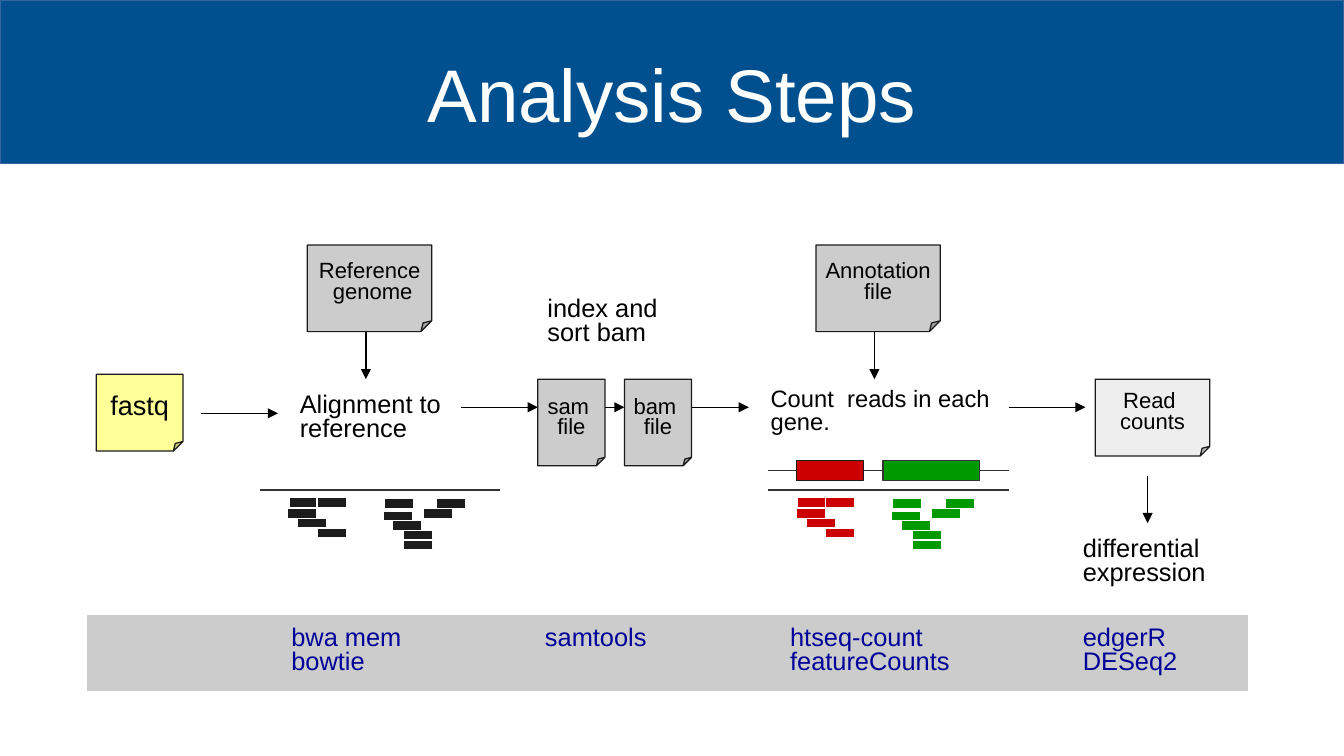
from collections import namedtuple
from dataclasses import dataclass

from lxml.etree import SubElement
from pptx import Presentation
from pptx.dml.color import RGBColor
from pptx.enum.shapes import MSO_CONNECTOR, MSO_SHAPE
from pptx.enum.text import MSO_ANCHOR, PP_ALIGN
from pptx.oxml.ns import qn
from pptx.util import Inches, Pt

Box = namedtuple("Box", "x y w h")


@dataclass(frozen=True)
class Theme:
    font: str = "Arial"
    white: str = "FFFFFF"
    black: str = "000000"
    ink: str = "1C1C1C"
    rule: str = "333333"
    banner: str = "00508F"
    edge: str = "3465A4"
    gray: str = "CCCCCC"
    pale: str = "EEEEEE"
    yellow: str = "FFFF99"
    red: str = "CC0000"
    green: str = "009900"
    tool: str = "000099"
    title: int = 44
    input: int = 16
    body: int = 15
    count: int = 14
    note: int = 13
    thin: float = 0.75
    spacing: float = 0.78


T = Theme()

# Read positions relative to the left end of the genome line
LEFT = [(0.24, 0.06), (0.23, 0.15), (0.47, 0.06), (0.31, 0.23), (0.47, 0.31)]
RIGHT = [(1.02, 0.07), (1.01, 0.17), (1.45, 0.07), (1.09, 0.25),
         (1.18, 0.33), (1.34, 0.15), (1.18, 0.41)]


def rgb(code):
    return RGBColor.from_string(code)


def inset(box, dx, dy, w, h):
    """Return a box placed relative to the corner of another."""
    return Box(box.x + dx, box.y + dy, w, h)


def write(shape, lines, size, color=T.black, align=PP_ALIGN.LEFT,
          anchor=MSO_ANCHOR.TOP, wrap=True):
    frame = shape.text_frame
    frame.word_wrap = wrap
    frame.vertical_anchor = anchor
    for i, line in enumerate(lines):
        para = frame.paragraphs[0] if i == 0 else frame.add_paragraph()
        para.alignment = align
        para.line_spacing = T.spacing
        run = para.add_run()
        run.text = line
        run.font.name = T.font
        run.font.size = Pt(size)
        run.font.color.rgb = rgb(color)


def label(slide, box, lines, size=T.body, color=T.black):
    text = slide.shapes.add_textbox(*map(Inches, box))
    write(text, lines, size, color)


def block(slide, box, fill, line, kind=MSO_SHAPE.RECTANGLE):
    shape = slide.shapes.add_shape(kind, *map(Inches, box))
    shape.shadow.inherit = False
    shape.fill.solid()
    shape.fill.fore_color.rgb = rgb(fill)
    shape.line.color.rgb = rgb(line)
    shape.line.width = Pt(T.thin)
    return shape


def note(slide, box, lines, fill=T.gray, size=T.note):
    page = block(slide, box, fill, T.ink, MSO_SHAPE.FOLDED_CORNER)
    # Fold size, an eighth of the short side
    guides = page._element.spPr.find(qn("a:prstGeom")).get_or_add_avLst()
    SubElement(guides, qn("a:gd"), name="adj", fmla="val 12500")
    write(page, lines, size, align=PP_ALIGN.CENTER,
          anchor=MSO_ANCHOR.MIDDLE, wrap=False)


def stroke(slide, x, y, dx, dy, color=T.rule, width=1):
    line = slide.shapes.add_connector(
        MSO_CONNECTOR.STRAIGHT, *map(Inches, (x, y, x + dx, y + dy)))
    line.line.color.rgb = rgb(color)
    line.line.width = Pt(width)
    SubElement(line._element.spPr, qn("a:effectLst"))
    return line


def arrow(slide, x, y, dx=0, dy=0):
    line = stroke(slide, x, y, dx, dy, T.black, T.thin)
    SubElement(line._element.spPr.find(qn("a:ln")), qn("a:tailEnd"),
               type="triangle")


# Title band across the top
def banner(slide, box, title):
    block(slide, box, T.banner, T.edge, MSO_SHAPE.FLOWCHART_PROCESS)
    text = slide.shapes.add_textbox(
        *map(Inches, inset(box, 0.55, 0.25, 9.92, 1.03)))
    frame = text.text_frame
    frame.margin_left = frame.margin_right = frame.margin_bottom = 0
    frame.margin_top = Inches(0.13)
    write(text, [title], T.title, T.white, PP_ALIGN.CENTER, MSO_ANCHOR.MIDDLE)


# Raw reads and the arrow out of them
def source(slide, box):
    note(slide, inset(box, 0, 0, 0.71, 0.63), ["fastq"], T.yellow, T.input)
    arrow(slide, box.x + 0.86, box.y + 0.32, dx=0.63)


# Reference note, caption and reads lying on the genome line
def stage(slide, box, lines, caption, shift, size, colors):
    note(slide, inset(box, 0.39, 0, 1.02, 0.71), lines)
    arrow(slide, box.x + 0.87, box.y + 0.71, dy=0.39)
    label(slide, inset(box, *shift, 2.05, 0.47) if shift[0] < 0
          else inset(box, *shift, 1.57, 0.47), [caption], size)
    base = inset(box, 0, 2.01, 0, 0)
    stroke(slide, base.x, base.y, box.w, 0)
    for reads, color in zip((LEFT, RIGHT), colors):
        for dx, dy in reads:
            block(slide, inset(base, dx, dy, 0.24, 0.08), color, T.white)


# Gene line with its two exons
def genes(slide, box):
    stroke(slide, box.x, box.y + box.h / 2, box.w, 0)
    block(slide, inset(box, 0.23, 0, 0.55, box.h), T.red, T.ink)
    block(slide, inset(box, 0.94, 0, 0.79, box.h), T.green, T.rule)


# Alignment files and the arrows around them
def files(slide, box):
    label(slide, inset(box, -0.02, 0, 1.28, 0.49), ["index and sort bam"])
    mid = box.y + 0.94
    arrow(slide, box.x - 0.63, mid, dx=0.63)
    arrow(slide, box.x + 1.1, mid, dx=0.63)
    for i, name in enumerate(("sam ", "bam ")):
        note(slide, inset(box, 0.71 * i, 0.71, 0.55, 0.71), [name, "file"])
    arrow(slide, box.x + 0.55, mid, dx=0.16)


# Count table leading to the final analysis
def result(slide, box):
    arrow(slide, box.x - 0.71, box.y + 0.23, dx=0.63)
    note(slide, inset(box, 0, 0, 0.94, 0.63), ["Read ", "counts"], T.pale)
    arrow(slide, box.x + 0.43, box.y + 0.79, dy=0.39)
    label(slide, inset(box, -0.2, 1.26, 1.28, 0.49),
          ["differential expression"])


# Strip naming the tools under each step
def tools(slide, box):
    block(slide, box, T.gray, T.white)
    steps = [(1.58, ["bwa mem", "bowtie"]), (3.66, ["samtools"]),
             (5.67, ["htseq-count", "featureCounts"]),
             (8.07, ["edgerR", "DESeq2"])]
    for dx, names in steps:
        label(slide, inset(box, dx, 0.06, 1.65, 0.49), names, color=T.tool)


def main():
    deck = Presentation()
    deck.slide_width, deck.slide_height = Inches(11.02), Inches(6.2)
    slide = deck.slides.add_slide(deck.slide_layouts[6])
    banner(slide, Box(0, 0, 11.02, 1.34), "Analysis Steps")
    tools(slide, Box(0.71, 5.04, 9.53, 0.63))
    source(slide, Box(0.79, 3.07, 1.49, 0.63))
    stage(slide, Box(2.13, 2.01, 1.97, 2.5), ["Reference", " genome"],
          "Alignment to reference", (0.23, 1.18), T.body, (T.ink, T.ink))
    files(slide, Box(4.41, 2.4, 1.26, 1.42))
    genes(slide, Box(6.3, 3.78, 1.97, 0.16))
    stage(slide, Box(6.3, 2.01, 1.97, 2.5), ["Annotation", "file"],
          "Count  reads in each gene.", (-0.08, 1.14), T.count,
          (T.red, T.green))
    result(slide, Box(8.98, 3.11, 0.94, 1.75))
    deck.save("out.pptx")


if __name__ == "__main__":
    main()
